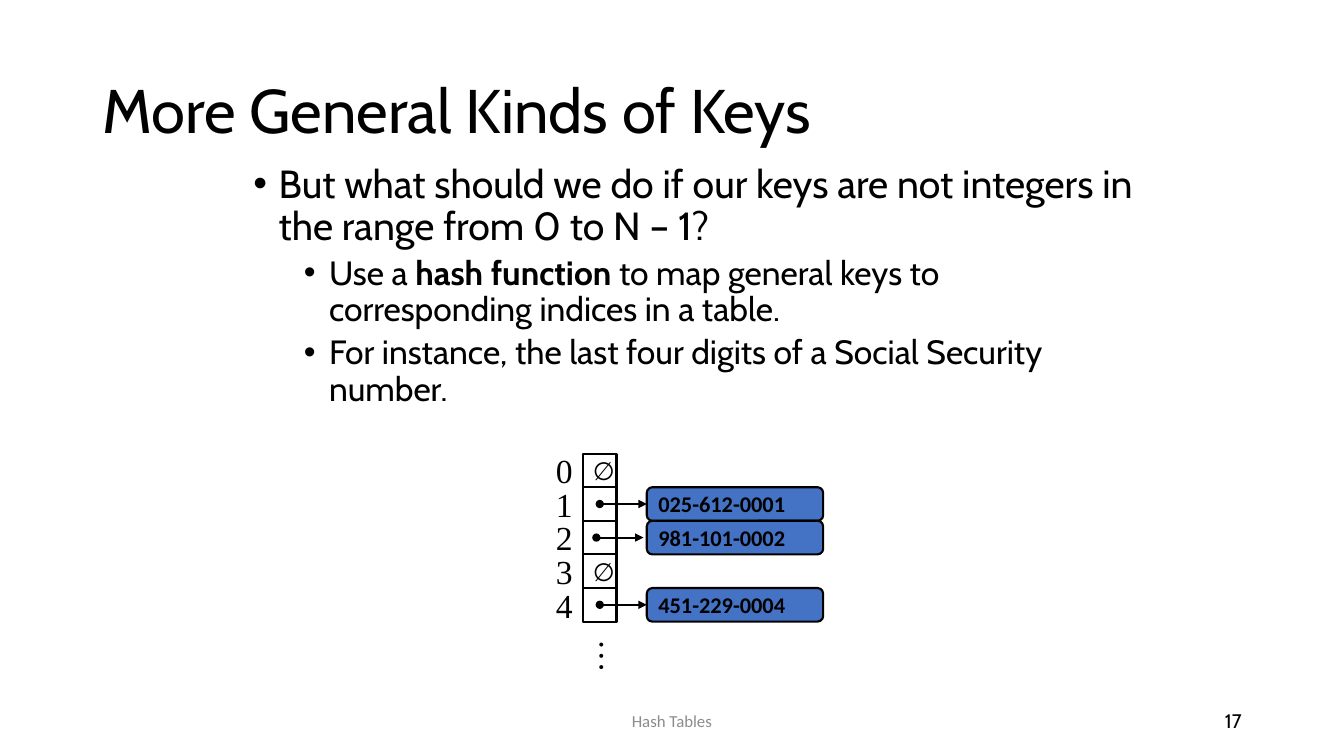
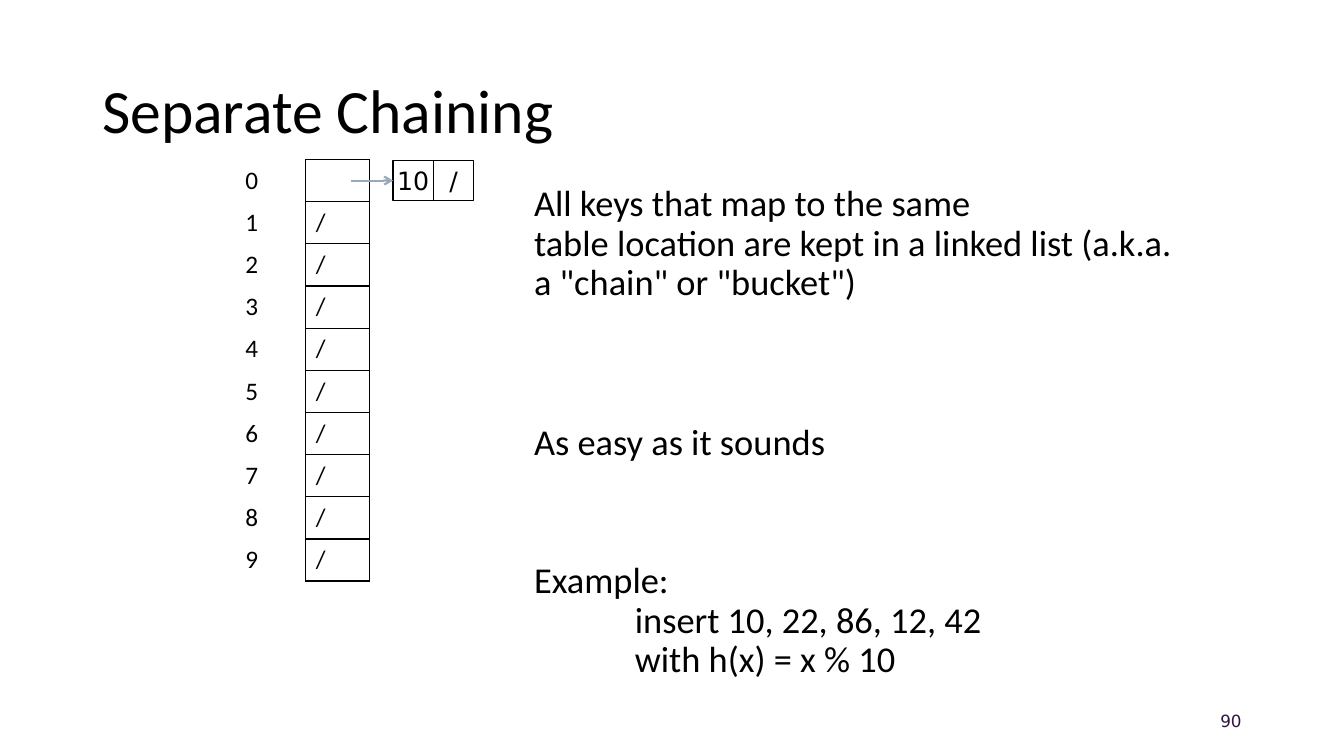
import collections

import lxml.etree
import pptx
import pptx.dml.color
import pptx.enum.shapes
import pptx.enum.text
import pptx.oxml.ns
import pptx.util

COLOURS = {
    "ink": "000000",
    "footer": "8C8C8C",
    "number": "2F1343",
    "key": "4472C4",
    "link": "99A8BD",
}
UNIT = pptx.util.Inches(1) / 12
COLUMNS, ROWS = 160, 90

Box = collections.namedtuple("Box", "left top width height")
Style = collections.namedtuple("Style", "font size colour bold", defaults=("ink", False))

Align = pptx.enum.text.PP_ALIGN
Anchor = pptx.enum.text.MSO_ANCHOR
Shape = pptx.enum.shapes.MSO_SHAPE

TITLE_BOX = Box(11, 4.8, 138, 17.4)
FOOTER_BOX = Box(53, 83.4, 54, 4.8)
NUMBER_BOX = Box(113, 83.4, 36, 4.8)


def grid(*lengths):
    return [pptx.util.Emu(round(length * UNIT)) for length in lengths]


def colour(name):
    return pptx.dml.color.RGBColor.from_string(COLOURS[name])


def add_xml(parent, tag, **attributes):
    return lxml.etree.SubElement(parent, pptx.oxml.ns.qn(tag), **attributes)


def style_runs(para, style):
    for span in para.runs:
        span.font.name = style.font
        span.font.size = pptx.util.Pt(style.size)
        span.font.bold = style.bold
        span.font.color.rgb = colour(style.colour)


def write(frame, text, style, align=Align.LEFT, anchor=Anchor.MIDDLE, wrap=True):
    frame.text = text
    frame.word_wrap = wrap
    frame.vertical_anchor = anchor
    para = frame.paragraphs[0]
    para.alignment = align
    style_runs(para, style)
    return para


def add_text(page, box, text, style, **layout):
    holder = page.shapes.add_textbox(*grid(*box))
    write(holder.text_frame, text, style, **layout)
    return holder


def add_box(page, box, kind=Shape.RECTANGLE, fill=None, line_width=1.5):
    shape = page.shapes.add_shape(kind, *grid(*box))
    shape.shadow.inherit = False
    if fill:
        shape.fill.solid()
        shape.fill.fore_color.rgb = colour(fill)
    else:
        shape.fill.background()
    shape.line.color.rgb = colour("ink")
    shape.line.width = pptx.util.Pt(line_width)
    return shape


def add_arrow(page, start, end, target=None, line="ink", **ends):
    arrow = page.shapes.add_connector(
        pptx.enum.shapes.MSO_CONNECTOR.STRAIGHT, *grid(*start, *end)
    )
    if target is not None:
        arrow.end_connect(target, 1)
    arrow.line.color.rgb = colour(line)
    arrow.line.width = pptx.util.Pt(1.5)
    outline = arrow.line._get_or_add_ln()
    for tag, kind in ends.items():
        add_xml(outline, f"a:{tag}", type=kind)
    add_xml(arrow._element.spPr, "a:effectLst")


def indent(para, left, first=0, bullet=None):
    properties = para._p.get_or_add_pPr()
    properties.set("marL", str(pptx.util.Inches(left)))
    properties.set("indent", str(pptx.util.Inches(first)))
    if bullet:
        add_xml(properties, "a:buFont", typeface="Arial")
        add_xml(properties, "a:buChar", char=bullet)


def next_para(frame, index):
    return frame.add_paragraph() if index else frame.paragraphs[0]


def space(para, before):
    para.line_spacing = 0.9
    para.space_before = pptx.util.Pt(before)


def add_page(deck, title, title_font, number, number_style, footer=None):
    page = deck.slides.add_slide(deck.slide_layouts[6])
    heading = add_text(page, TITLE_BOX, title, Style(title_font, 44))
    heading.text_frame.paragraphs[0].line_spacing = 0.9
    if footer:
        add_text(page, FOOTER_BOX, footer, Style("Calibri", 12, "footer"), align=Align.CENTER)
    add_text(page, NUMBER_BOX, number, number_style, align=Align.RIGHT)
    return page


def add_bullets(page, box, items):
    frame = page.shapes.add_textbox(*grid(*box)).text_frame
    frame.word_wrap = True
    for index, (level, pieces) in enumerate(items):
        para = next_para(frame, index)
        indent(para, 0.25 + 0.5 * level, -0.25, "•")
        space(para, 5 if index else 0)
        for text in pieces:
            para.add_run().text = text
        style_runs(para, Style("Cabin", 28 - 4 * level))
        for span in para.runs[1:2]:
            span.font.bold = True


def add_bucket_array(page, box, keys):
    side = box.height / len(keys)
    symbol = Style("Calibri", 18)
    serif = Style("Times New Roman", 24)
    key_style = Style("Calibri", 16, "ink", True)
    for index, (key, shift) in enumerate(keys):
        top = box.top + index * side
        middle = top + side / 2
        bucket = add_box(page, Box(box.left, top, side, side))
        add_text(page, Box(box.left - 4.4, top - 1, 4.4, 6), str(index), serif,
                 anchor=Anchor.TOP, wrap=False)
        if key is None:
            write(bucket.text_frame, "∅", symbol, wrap=False)
            continue
        key_left = box.left + box.width - 21
        entry = add_box(page, Box(key_left, top, 21, side), Shape.ROUNDED_RECTANGLE, "key")
        write(entry.text_frame, key, key_style, wrap=False)
        add_arrow(page, (box.left + side / 2 + shift, middle), (key_left + shift, middle),
                  None if shift else entry, headEnd="oval", tailEnd="triangle")
    dots = add_text(page, Box(box.left + 0.4, box.top + box.height + 1.2, 6.4, 6), "…",
                    serif, anchor=Anchor.TOP, wrap=False)
    dots.rotation = 90


def border_cell(cell):
    properties = cell._tc.get_or_add_tcPr()
    for index, tag in enumerate(("a:lnL", "a:lnR", "a:lnT", "a:lnB")):
        edge = lxml.etree.Element(pptx.oxml.ns.qn(tag), w=str(pptx.util.Pt(1)))
        add_xml(add_xml(edge, "a:solidFill"), "a:srgbClr", val=COLOURS["ink"])
        properties.insert(index, edge)


def add_chain_table(page, box, slots):
    table = page.shapes.add_table(len(slots), 2, *grid(*box)).table
    table.first_row = table.horz_banding = False
    for column, share in zip(table.columns, (0.525, 0.475)):
        column.width = grid(box.width * share)[0]
    for index, slot in enumerate(slots):
        table.rows[index].height = grid(box.height / len(slots))[0]
        for position, text in enumerate((str(index), slot)):
            cell = table.cell(index, position)
            cell.fill.background()
            cell.vertical_anchor = Anchor.MIDDLE
            cell.text = text
            style_runs(cell.text_frame.paragraphs[0], Style("Calibri", 18))
        border_cell(table.cell(index, 1))


def add_chain_node(page, box, texts, link_start):
    side = box.height
    parts = []
    for index, text in enumerate(texts):
        part = add_box(page, Box(box.left + index * side, box.top, side, side), line_width=1)
        frame = part.text_frame
        frame.margin_left = frame.margin_right = frame.margin_top = frame.margin_bottom = 0
        write(frame, text, Style("DejaVu Sans", 18), align=Align.CENTER)
        parts.append(part)
    middle = box.top + side / 2
    add_arrow(page, (link_start, middle), (box.left, middle), parts[0], "link", tailEnd="arrow")


def add_explanation(page, box, lines):
    frame = page.shapes.add_textbox(*grid(*box)).text_frame
    frame.word_wrap = True
    for index, (text, before, left) in enumerate(lines):
        para = next_para(frame, index)
        para.text = text
        indent(para, left)
        space(para, before)
        style_runs(para, Style("Calibri", 26))


def build_keys_page(deck):
    page = add_page(deck, "More General Kinds of Keys", "Cabin", "17",
                    Style("Cabin", 14), "Hash Tables")
    add_bullets(page, Box(29, 19, 107, 65), [
        (0, ["But what should we do if our keys are not integers in the range from 0 to N – 1?"]),
        (1, ["Use a ", "hash function ",
             "to map general keys to corresponding indices in a table."]),
        (1, ["For instance, the last four digits of a Social Security number."]),
    ])
    add_bucket_array(page, Box(69.4, 54, 28.6, 20), [
        (None, 0), ("025-612-0001", 0), ("981-101-0002", -0.4), (None, 0), ("451-229-0004", 0),
    ])


def build_chaining_page(deck):
    page = add_page(deck, "Separate Chaining", "Calibri", "90",
                    Style("DejaVu Sans", 12, "number"))
    add_chain_table(page, Box(28, 19, 16, 50.2), [""] + ["/"] * 9)
    add_explanation(page, Box(62.4, 21.5, 79.7, 60.5), [
        ("All keys that map to the same\vtable location are kept in a linked list "
         "(a.k.a. a \"chain\" or \"bucket\")", 0, 0),
        ("As easy as it sounds", 86, 0),
        ("Example:", 71, 0),
        ("insert 10, 22, 86, 12, 42", 0, 1),
        ("with h(x) = x % 10", 0, 1),
    ])
    add_chain_node(page, Box(46.8, 19.1, 9.6, 4.8), ("10", "/"), 41.8)


def main():
    deck = pptx.Presentation()
    deck.slide_width, deck.slide_height = grid(COLUMNS, ROWS)
    build_keys_page(deck)
    build_chaining_page(deck)
    deck.save("out.pptx")


if __name__ == "__main__":
    main()
